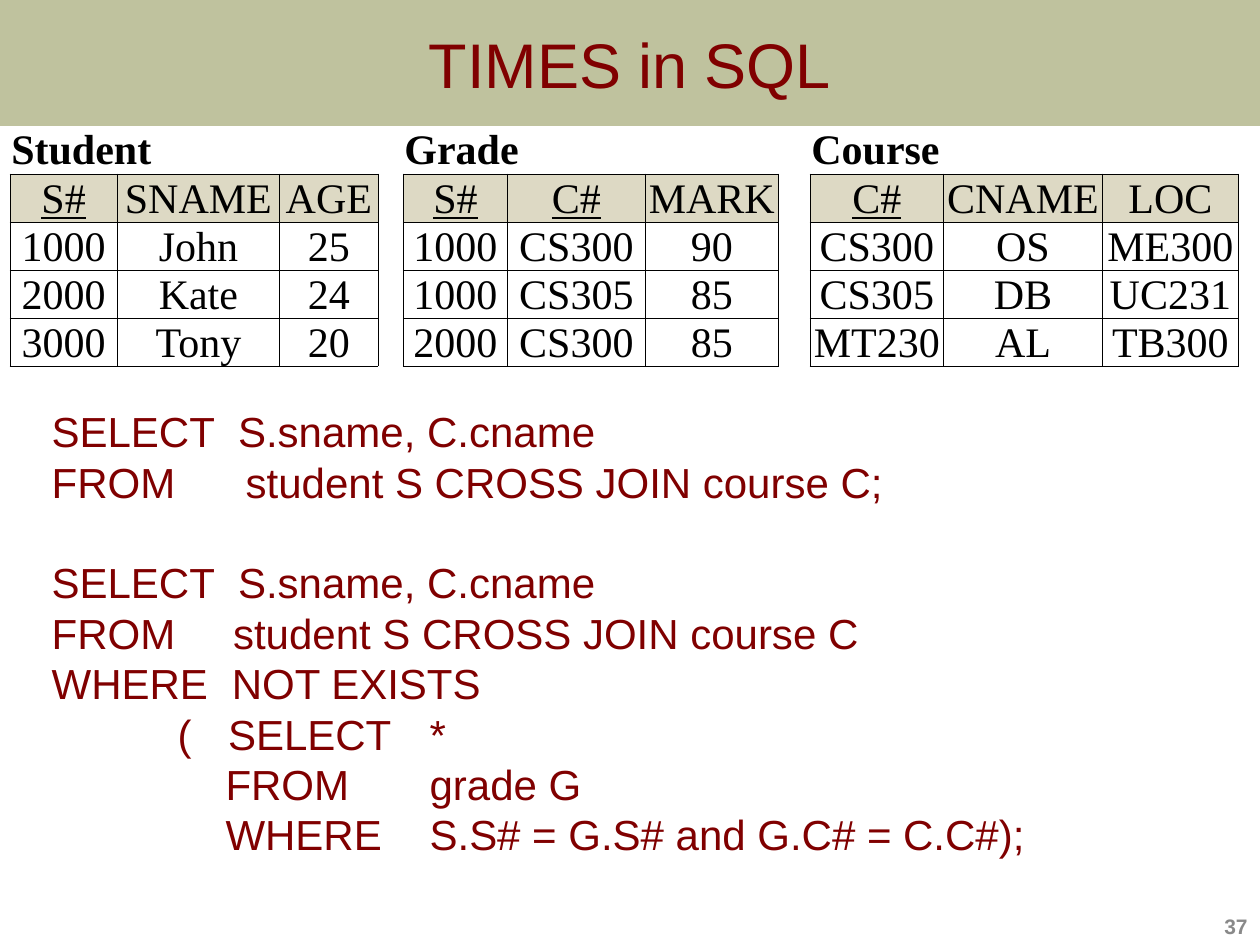
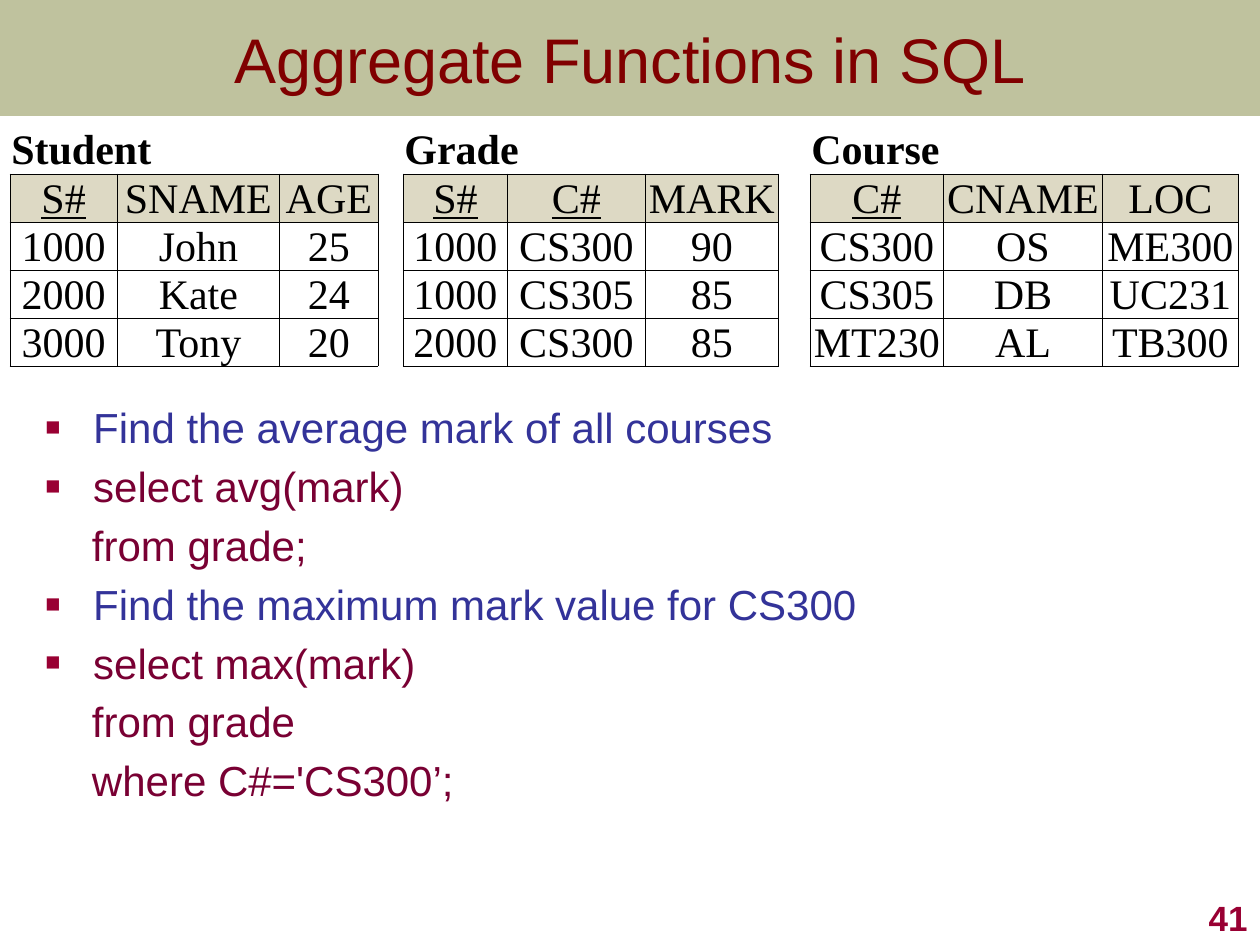
from lxml.etree import SubElement
from pptx import Presentation
from pptx.dml.color import RGBColor
from pptx.enum.text import MSO_ANCHOR, MSO_AUTO_SIZE, PP_ALIGN
from pptx.oxml.ns import qn
from pptx.util import Inches, Pt

OLIVE = RGBColor(0x6E, 0x75, 0x24)
MAROON = RGBColor(0x80, 0x00, 0x00)
WINE = RGBColor(0x79, 0x00, 0x33)
CRIMSON = RGBColor(0x99, 0x00, 0x33)
INDIGO = RGBColor(0x33, 0x33, 0x99)
GRAY = RGBColor(0x89, 0x89, 0x89)
SAND = RGBColor(0xDD, 0xD9, 0xC4)
WHITE = RGBColor(0xFF, 0xFF, 0xFF)
BLACK = RGBColor(0x00, 0x00, 0x00)

PLAIN = "{2D5ABB26-0587-4C30-8999-92F81FD0307C}"
LINE = Pt(28.8)
COLS = (0.85, 1.29, 0.78, 0.2, 0.83, 1.09, 1.06, 0.25, 1.06, 1.26, 1.08)
DATA = (
    ("Student", (("S#", "SNAME", "AGE"), ("1000", "John", "25"),
                 ("2000", "Kate", "24"), ("3000", "Tony", "20"))),
    ("Grade", (("S#", "C#", "MARK"), ("1000", "CS300", "90"),
               ("1000", "CS305", "85"), ("2000", "CS300", "85"))),
    ("Course", (("C#", "CNAME", "LOC"), ("CS300", "OS", "ME300"),
                ("CS305", "DB", "UC231"), ("MT230", "AL", "TB300"))),
)
QUERY = (
    ("SELECT\tS.sname, C.cname", 0, 1.48),
    ("FROM\tstudent S CROSS JOIN course C;", 0, 1.54),
    ("SELECT\tS.sname, C.cname", 0, 1.48),
    ("FROM\tstudent S CROSS JOIN course C", 0, 1.44),
    ("WHERE\tNOT EXISTS", 0, 1.43),
    ("(\tSELECT\t*", 1, 0.4),
    ("FROM\tgrade G", 1.38, 1.62),
    ("WHERE\tS.S# = G.S# and G.C# = C.C#);", 1.38, 1.62),
)
TASKS = (
    ("Find the average mark of all courses", INDIGO, True),
    ("select avg(mark)", WINE, True),
    ("from grade;", WINE, False),
    ("Find the maximum mark value for CS300", INDIGO, True),
    ("select max(mark)", WINE, True),
    ("from grade", WINE, False),
    ("where C#='CS300’;", WINE, False),
)


def write(para, text, size=24, color=MAROON, face="Arial", bold=False,
          under=False, align=PP_ALIGN.LEFT):
    para.alignment = align
    run = para.add_run()
    run.text = text
    font = run.font
    font.size, font.name, font.bold, font.underline = Pt(size), face, bold, under
    font.color.rgb = color


def place(shape, box):
    shape.left, shape.top, shape.width, shape.height = map(Inches, box)


def add_lines(frame, count):
    return [frame.paragraphs[0]] + [frame.add_paragraph() for _ in range(count - 1)]


def set_list(para, margin=0, bullet=False, step=1, before=0):
    para.line_spacing = LINE
    para.space_before = Pt(before)
    props = para._p.get_or_add_pPr()
    props.set("marL", str(Inches(margin)))
    props.set("indent", str(Inches(-margin if bullet else 0)))
    props.set("defTabSz", str(Inches(step)))
    if bullet:
        tint = SubElement(props, qn("a:buClr"))
        SubElement(tint, qn("a:srgbClr"), val=str(CRIMSON))
        SubElement(props, qn("a:buSzPct"), val="60000")
        SubElement(props, qn("a:buFont"), typeface="Arial")
        SubElement(props, qn("a:buChar"), char="■")
    else:
        SubElement(props, qn("a:buNone"))


def add_title(slide, text, box):
    title = slide.shapes.title
    place(title, box)
    title.fill.solid()
    title.fill.fore_color.rgb = OLIVE
    tint = title.fill._xPr.find(".//" + qn("a:srgbClr"))
    SubElement(tint, qn("a:alpha"), val="44000")
    frame = title.text_frame
    frame.auto_size = MSO_AUTO_SIZE.NONE
    frame.vertical_anchor = MSO_ANCHOR.MIDDLE
    write(frame.paragraphs[0], text, size=36, align=PP_ALIGN.CENTER)


def get_body(slide, box):
    body = slide.placeholders[1]
    place(body, box)
    frame = body.text_frame
    frame.auto_size = MSO_AUTO_SIZE.NONE
    frame.margin_right = 0
    return frame


def add_query(slide, box):
    frame = get_body(slide, box)
    lines = add_lines(frame, len(QUERY))
    for row, (para, (text, margin, step)) in enumerate(zip(lines, QUERY)):
        set_list(para, margin=margin, step=step, before=28.8 if row == 2 else 0)
        write(para, text)


def add_tasks(slide, box):
    frame = get_body(slide, box)
    for para, (text, color, bullet) in zip(add_lines(frame, len(TASKS)), TASKS):
        set_list(para, margin=0.38 if bullet else 0.37, bullet=bullet, before=4.8)
        write(para, text, color=color)


def add_number(slide, text, box, **style):
    shape = slide.shapes.add_textbox(*map(Inches, box))
    frame = shape.text_frame
    frame.word_wrap = True
    frame.vertical_anchor = MSO_ANCHOR.BOTTOM
    write(frame.paragraphs[0], text, bold=True, align=PP_ALIGN.RIGHT, **style)


def style_cell(cell, sides, fill):
    cell.margin_left = cell.margin_right = Inches(0.01)
    cell.margin_top = cell.margin_bottom = 0
    cell.vertical_anchor = MSO_ANCHOR.BOTTOM
    cell.text_frame.paragraphs[0].line_spacing = Pt(27.4)
    props = cell._tc.get_or_add_tcPr()
    for side in sides:
        edge = SubElement(props, qn("a:ln" + side), w=str(Pt(0.5)))
        paint = SubElement(edge, qn("a:solidFill"))
        SubElement(paint, qn("a:srgbClr"), val=str(BLACK))
    cell.fill.solid()
    cell.fill.fore_color.rgb = fill


def add_tables(slide, box):
    grid = slide.shapes.add_table(5, len(COLS), *map(Inches, box)).table
    grid.first_row = grid.horz_banding = False
    grid._tbl.tblPr.find(qn("a:tableStyleId")).text = PLAIN
    for col, width in zip(grid.columns, COLS):
        col.width = Inches(width)
    for row in range(5):
        grid.rows[row].height = Inches(box[3] / 5)
        for col in range(len(COLS)):
            gap = col % 4 == 3
            if row == 0:
                sides = "" if gap else "B"
            else:
                sides = "LR" if gap else "LRTB"
            fill = SAND if row == 1 and not gap else WHITE
            style_cell(grid.cell(row, col), sides, fill)
    serif = {"face": "Times New Roman", "color": BLACK}
    for part, (name, rows) in enumerate(DATA):
        left = part * 4
        head = grid.cell(0, left)
        head.merge(grid.cell(0, left + 2))
        write(head.text_frame.paragraphs[0], name, bold=True, **serif)
        for row, values in enumerate(rows, 1):
            for col, value in enumerate(values, left):
                para = grid.cell(row, col).text_frame.paragraphs[0]
                write(para, value, under=value.endswith("#"),
                      align=PP_ALIGN.CENTER, **serif)


def add_slide(deck, title, band, fill_body, box, number, **style):
    slide = deck.slides.add_slide(deck.slide_layouts[1])
    add_title(slide, title, (0, 0, 10, band))
    fill_body(slide, box)
    add_number(slide, number, (7.92, 7, 2.08, 0.5), **style)
    add_tables(slide, (0.08, 1, sum(COLS), 1.9))


def main():
    deck = Presentation()
    deck.slide_width, deck.slide_height = Inches(10), Inches(7.5)
    add_slide(deck, "TIMES in SQL", 1, add_query, (0.31, 3.17, 9.06, 3.8),
              "37", size=12, color=GRAY)
    add_slide(deck, "Aggregate Functions in SQL", 0.92, add_tasks,
              (0.26, 3.14, 9.49, 4.35), "41", size=20, color=CRIMSON)
    deck.save("out.pptx")


if __name__ == "__main__":
    main()
